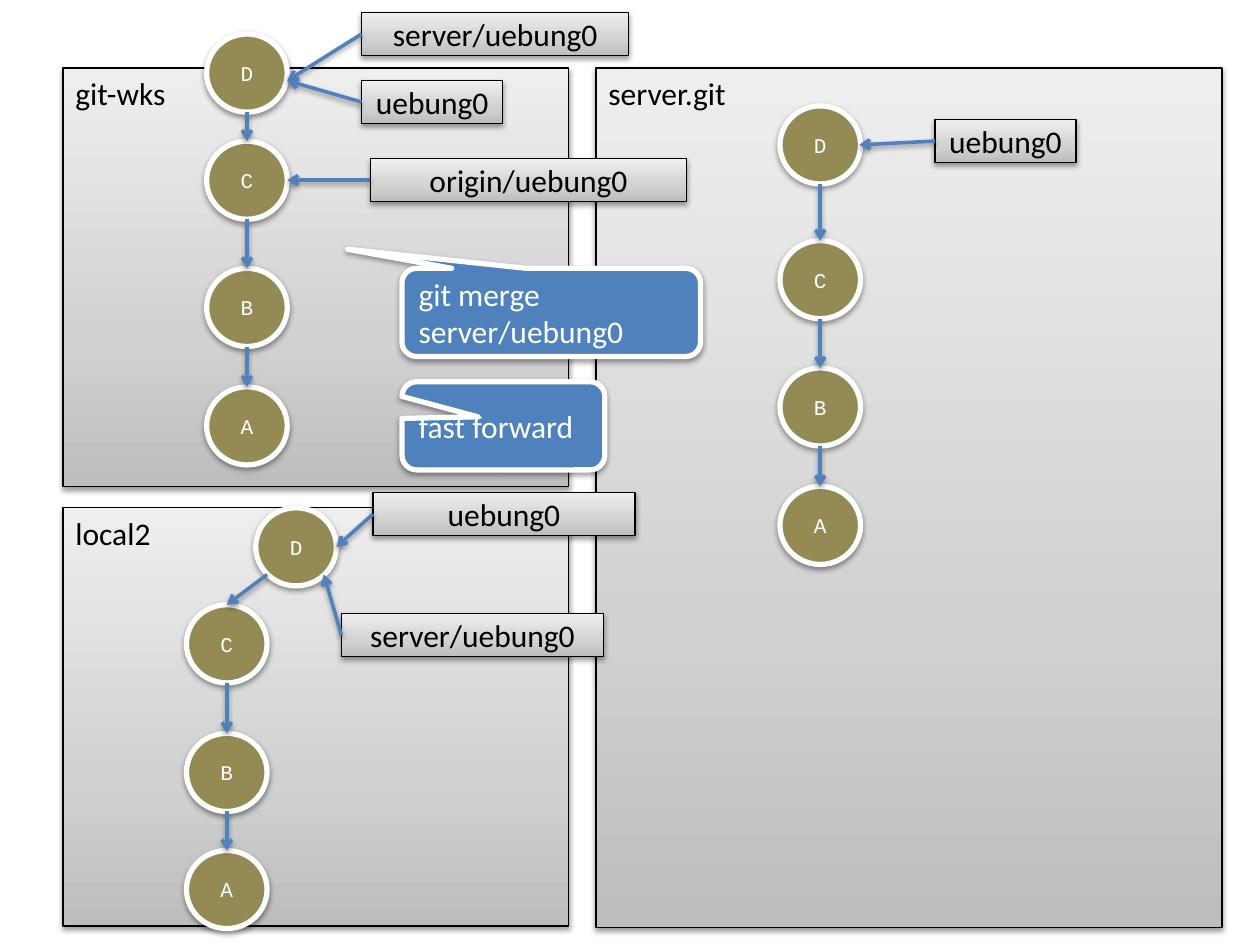
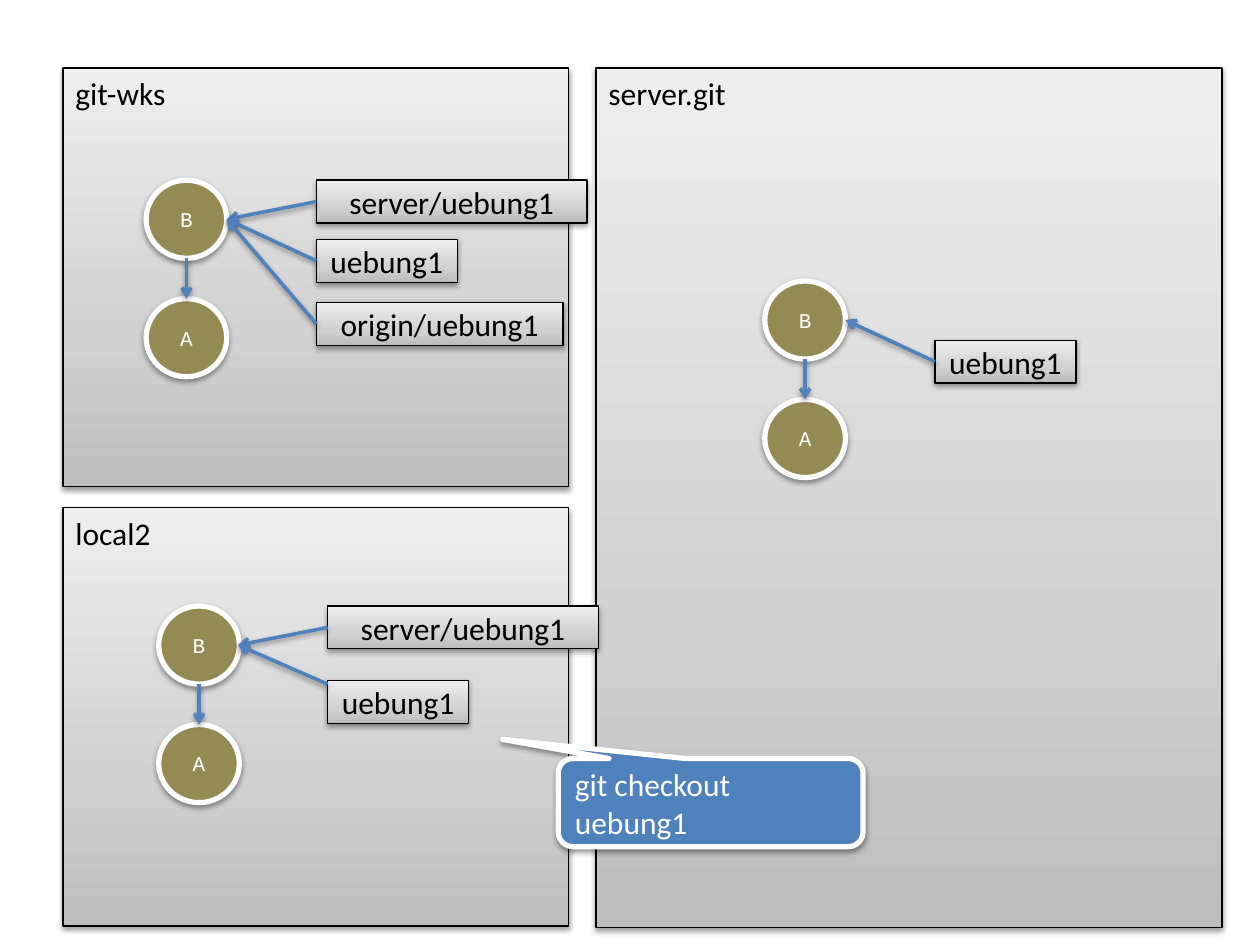
"""Builds two slides that compare the commits and branches of three git repositories."""
from pptx import Presentation
from pptx import util as u
from pptx.dml.color import RGBColor
from pptx.enum import shapes, text
from pptx.oxml import parse_xml
from pptx.oxml.ns import nsdecls


class Theme:
    ink, paper = "000000", "FFFFFF"
    commit, accent = "948A54", "4F81BD"
    body_font, commit_font = "Calibri", "Courier New"
    body_size, commit_size = 18, 12
    thin, arrow, thick = 0.75, 2, 3
    gradient = (
        f'<a:gradFill {nsdecls("a")} rotWithShape="1"><a:gsLst>'
        '<a:gs pos="0"><a:srgbClr val="BDBDBD"/></a:gs>'
        '<a:gs pos="35000"><a:srgbClr val="D1D1D1"/></a:gs>'
        '<a:gs pos="100000"><a:srgbClr val="EEEEEE"/></a:gs>'
        '</a:gsLst><a:lin ang="16200000" scaled="0"/></a:gradFill>')
    shadow = (
        f'<a:effectLst {nsdecls("a")}><a:outerShdw blurRad="40000" dist="20000" '
        'dir="5400000" rotWithShape="0"><a:srgbClr val="000000">'
        '<a:alpha val="38000"/></a:srgbClr></a:outerShdw></a:effectLst>')
    arrowhead = f'<a:tailEnd {nsdecls("a")} type="arrow"/>'


def add_box(slide, words, at, kind=shapes.MSO_SHAPE.RECTANGLE, fill=None,
            font=Theme.body_font, size=Theme.body_size,
            align=text.PP_ALIGN.CENTER, anchor=text.MSO_ANCHOR.MIDDLE):
    box = slide.shapes.add_shape(kind, *map(u.Inches, at))
    if fill:
        box.fill.solid()
        box.fill.fore_color.rgb = RGBColor.from_string(fill)
    else:
        box.element.spPr.append(parse_xml(Theme.gradient))
    box.line.color.rgb = RGBColor.from_string(Theme.paper if fill else Theme.ink)
    box.line.width = u.Pt(Theme.thick if fill else Theme.thin)
    box.element.spPr.append(parse_xml(Theme.shadow))
    frame = box.text_frame
    frame.word_wrap = True
    frame.vertical_anchor = anchor
    paragraph = frame.paragraphs[0]
    paragraph.alignment = align
    run = paragraph.add_run()
    run.text = words
    run.font.name = font
    run.font.size = u.Pt(size)
    run.font.color.rgb = RGBColor.from_string(Theme.paper if fill else Theme.ink)
    return box


def add_arrow(slide, start, tip, label=None):
    arrow = slide.shapes.add_connector(
        shapes.MSO_CONNECTOR.STRAIGHT, *map(u.Inches, (*start, *tip)))
    if label is not None:
        arrow.begin_connect(label, 1)
    arrow.line.color.rgb = RGBColor.from_string(Theme.accent)
    arrow.line.width = u.Pt(Theme.arrow)
    arrow.element.spPr.ln.append(parse_xml(Theme.arrowhead))
    arrow.element.spPr.append(parse_xml(Theme.shadow))


COMMIT_W, COMMIT_H, LABEL_H, CALLOUT_H = 0.64, 0.62, 0.34, 0.7

repositories = [
    ("git-wks", (0.5, 0.54, 4.01, 3.32)),
    ("local2", (0.5, 4.03, 4.01, 3.32)),
    ("server.git", (4.73, 0.54, 4.97, 6.82)),
]

# Histories: commit corners, newest first. Branches: name, left, top, width, tip, rise.
# Commands: words, left, top, width, pointer.
states = [
    dict(
        histories=[
            [(1.64, 0.27), (1.64, 1.12), (1.64, 2.13), (1.64, 3.07)],
            [(6.19, 0.84), (6.19, 1.91), (6.19, 2.92), (6.19, 3.86)],
            [(2.03, 4.03), (1.48, 4.8), (1.48, 5.82), (1.48, 6.75)],
        ],
        branches=[
            ("server/uebung0", 2.87, 0.1, 2.12, (2.28, 0.64), 0),
            ("uebung0", 2.87, 0.64, 1.12, (2.28, 0.64), 0),
            ("origin/uebung0", 2.94, 1.26, 2.51, (2.28, 1.43), 0),
            ("uebung0", 7.42, 0.95, 1.12, (6.82, 1.15), 0),
            ("uebung0", 2.96, 3.91, 2.08, (2.67, 4.34), 0),
            ("server/uebung0", 2.71, 4.87, 2.08, (2.57, 4.56), 0),
        ],
        commands=[
            ("git merge server/uebung0", 3.19, 2.13, 2.37, (-0.682, -0.716)),
            ("fast forward", 3.19, 3.03, 1.61, (-0.126, -0.102)),
        ],
    ),
    dict(
        histories=[
            [(1.16, 1.43), (1.16, 2.37)],
            [(6.07, 2.23), (6.07, 3.17)],
            [(1.26, 4.81), (1.26, 5.75)],
        ],
        branches=[
            ("server/uebung1", 2.51, 1.43, 2.15, (1.8, 1.74), 0),
            ("uebung1", 2.51, 1.9, 1.12, (1.8, 1.74), 0),
            ("origin/uebung1", 2.51, 2.4, 1.96, (1.8, 1.74), 0),
            ("uebung1", 7.42, 2.7, 1.12, (6.71, 2.54), 0),
            ("server/uebung1", 2.6, 4.81, 2.15, (1.89, 5.12), 0),
            ("uebung1", 2.6, 5.4, 1.12, (1.89, 5.12), 0.14),
        ],
        commands=[
            ("git checkout uebung1", 4.43, 6.02, 2.42, (-0.682, -0.716)),
        ],
    ),
]

deck = Presentation()
deck.slide_width, deck.slide_height = u.Inches(10), u.Inches(7.5)
layout = deck.slide_layouts[6]
slides = [deck.slides.add_slide(layout) for _ in states]

for name, area in repositories:
    panel = add_box(slides[0], name, area, align=text.PP_ALIGN.LEFT,
                    anchor=text.MSO_ANCHOR.TOP)
    layout.shapes.element.append(panel.element)

for slide, state in zip(slides, states):
    for history in state["histories"]:
        for name, corner in zip("DCBA"[-len(history):], history):
            add_box(slide, name, (*corner, COMMIT_W, COMMIT_H),
                    kind=shapes.MSO_SHAPE.OVAL, fill=Theme.commit,
                    font=Theme.commit_font, size=Theme.commit_size)
        for (left, top), (parent_left, parent_top) in zip(history, history[1:]):
            if left == parent_left:
                start = (left + COMMIT_W / 2, top + COMMIT_H)
            else:
                start = (left + 0.09, top + 0.53)
            add_arrow(slide, start, (parent_left + COMMIT_W / 2, parent_top))

    for name, left, top, width, tip, rise in state["branches"]:
        branch = add_box(slide, name, (left, top, width, LABEL_H))
        add_arrow(slide, (left, top + LABEL_H / 2 - rise), tip,
                  label=None if rise else branch)

    for words, left, top, width, pointer in state["commands"]:
        command = add_box(slide, words, (left, top, width, CALLOUT_H),
                          kind=shapes.MSO_SHAPE.ROUNDED_RECTANGULAR_CALLOUT,
                          fill=Theme.accent, align=text.PP_ALIGN.LEFT)
        command.adjustments[0], command.adjustments[1] = pointer

deck.save("out.pptx")
